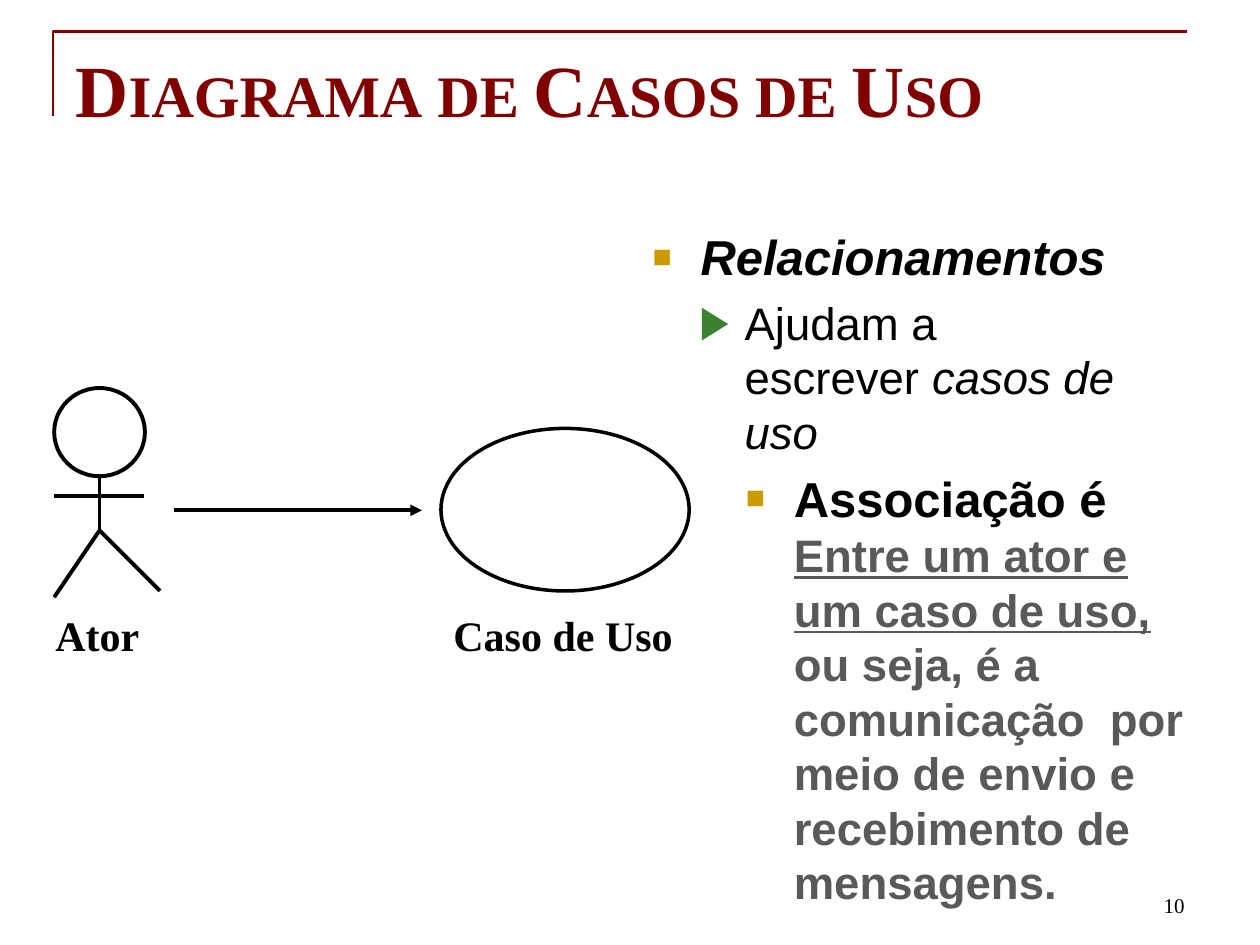
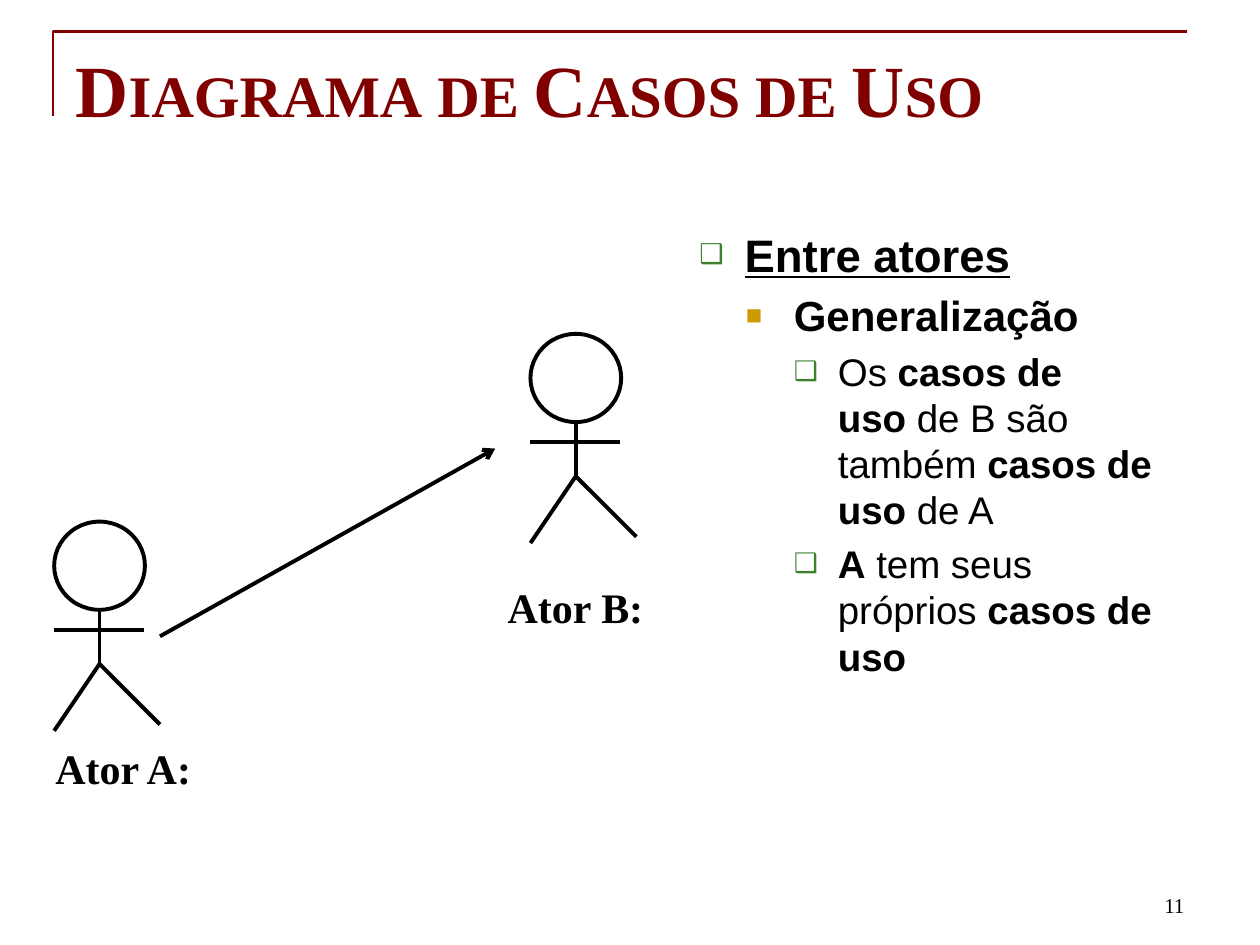
from lxml.etree import SubElement
from pptx import Presentation
from pptx.dml.color import RGBColor
from pptx.enum.shapes import MSO_CONNECTOR, MSO_SHAPE
from pptx.enum.text import MSO_ANCHOR, MSO_AUTO_SIZE, PP_ALIGN
from pptx.oxml.ns import qn
from pptx.util import Emu, Pt

PX = 9144  # 100 px to the inch
INK = {"black": "000000", "white": "FFFFFF", "wine": "800000",
       "gray": "595959", "gold": "CC9900", "green": "3B812F"}
SERIF, SANS = "Times New Roman", "Arial"
HANG = [(38, 38), (73, 36), (112, 38), (147, 35)]  # margin and hang per level
STROKE = 2.25
TIE = chr(160)  # no-break space, typed as ~ in the rows


def px(*nums):
    return [Emu(n * PX) for n in nums]


def rgb(name):
    return RGBColor.from_string(INK[name])


class Deck:
    """Holds the shared style and the slide being built."""

    def __init__(self):
        self.prs = Presentation()
        self.prs.slide_width, self.prs.slide_height = px(1000, 750)
        self.slide = None

    def start(self, title, num):
        """Add a slide with its frame, title and page number."""
        self.slide = self.prs.slides.add_slide(self.prs.slide_layouts[1])
        self.frame()
        par = self.place(self.slide.shapes.title, 50, 30, 900, 125)
        par.text = title
        par.alignment = PP_ALIGN.LEFT
        self.font(par, SERIF, 42, "wine", True)
        par._p.pPr.find(qn("a:defRPr")).set("cap", "small")
        box = self.slide.shapes.add_textbox(*px(717, 683, 233, 50))
        box.text_frame.vertical_anchor = MSO_ANCHOR.BOTTOM
        par = box.text_frame.paragraphs[0]
        par.text = str(num)
        par.alignment = PP_ALIGN.RIGHT
        self.font(par, SERIF, 12)

    def place(self, holder, *area):
        """Move a placeholder and return its first paragraph."""
        holder.left, holder.top, holder.width, holder.height = px(*area)
        text = holder.text_frame
        text.auto_size = MSO_AUTO_SIZE.NONE
        text.vertical_anchor = MSO_ANCHOR.TOP
        return text.paragraphs[0]

    def font(self, par, name, size, ink="black", bold=False):
        par.font.name, par.font.size, par.font.bold = name, Pt(size), bold
        par.font.color.rgb = rgb(ink)

    def stroke(self, shape, ink="black", width=STROKE):
        shape.line.color.rgb = rgb(ink)
        shape.line.width = Pt(width)

    def frame(self):
        pen = self.slide.shapes.build_freeform(42, 92, scale=PX)
        pen.add_line_segments([(42, 25), (942, 25)], close=False)
        shape = pen.convert_to_shape()
        shape.fill.background()
        shape.shadow.inherit = False
        self.stroke(shape, "wine", 1.5)

    def items(self, *rows):
        """Fill the body with rows of (level, mark, ink, percent, size, runs)."""
        body = self.slide.placeholders[1]
        par = self.place(body, 508, 175, 442, 495)
        for i, (level, mark, ink, pct, size, runs) in enumerate(rows):
            if i:
                par = body.text_frame.add_paragraph()
            par.level = level
            self.bullet(par, mark, ink, pct)
            self.font(par, SANS, size)
            for text, flags, *tint in runs:
                run = par.add_run()
                run.text = text.replace("~", TIE)
                run.font.bold = "b" in flags
                run.font.italic = "i" in flags
                run.font.underline = "u" in flags
                if tint:
                    run.font.size = Pt(tint[0])
                    run.font.color.rgb = rgb(tint[1])

    def bullet(self, par, mark, ink, pct):
        left, hang = px(*HANG[par.level])
        prop = par._p.get_or_add_pPr()
        prop.set("marL", str(left))
        prop.set("indent", str(-hang))
        color = SubElement(prop, qn("a:buClr"))
        SubElement(color, qn("a:srgbClr"), val=INK[ink])
        SubElement(prop, qn("a:buSzPct"), val=str(pct * 1000))
        SubElement(prop, qn("a:buFont"), typeface=SANS)
        SubElement(prop, qn("a:buChar"), char=mark)

    def oval(self, x, y, w, h, fill=None, width=STROKE, host=None):
        shapes = (host or self.slide).shapes
        shape = shapes.add_shape(MSO_SHAPE.OVAL, *px(x, y, w, h))
        shape.shadow.inherit = False
        if fill:
            shape.fill.solid()
            shape.fill.fore_color.rgb = rgb(fill)
        else:
            shape.fill.background()
        self.stroke(shape, width=width)

    def line(self, *ends, head=None, host=None):
        shapes = (host or self.slide).shapes
        wire = shapes.add_connector(MSO_CONNECTOR.STRAIGHT, *px(*ends))
        self.stroke(wire)
        prop = wire._element.spPr
        if head:
            SubElement(prop.find(qn("a:ln")), qn("a:tailEnd"), type=head)
        SubElement(prop, qn("a:effectLst"))

    def actor(self, x, y):
        """Draw a stick figure with its top left corner at x, y."""
        group = self.slide.shapes.add_group_shape()
        self.oval(x, y, 72, 70, host=group)
        mid, hip = x + 36, y + 113
        for ends in ((mid, y + 70, mid, hip), (mid, hip, x + 84, y + 161),
                     (mid, hip, x, y + 166), (x, y + 86, x + 71, y + 86)):
            self.line(*ends, host=group)

    def label(self, text, x, y, w):
        box = self.slide.shapes.add_textbox(*px(x, y, w, 50))
        box.text_frame.word_wrap = False
        box.text_frame.auto_size = MSO_AUTO_SIZE.SHAPE_TO_FIT_TEXT
        par = box.text_frame.paragraphs[0]
        par.text = text
        self.font(par, SERIF, 24, bold=True)


def main():
    deck = Deck()
    title = "Diagrama de Casos de Uso"

    deck.start(title, 10)
    deck.items(
        (0, "■", "gold", 65, 28, [("Relacionamentos", "bi")]),
        (1, "▶", "green", 100, 26, [("Ajudam a escrever~", ""),
                                    ("casos de uso", "i")]),
        (2, "■", "gold", 65, 28, [
            ("Associação é ", "b"),
            ("Entre um ator e um~caso de uso, ", "bu", 26, "gray"),
            ("ou seja, é a comunicação  por meio de envio e recebimento "
             "de mensagens.", "b", 26, "gray")]))
    deck.actor(43, 308)
    deck.oval(350, 340, 197, 129, "white", 2)
    deck.label("Ator", 34, 479, 88)
    deck.label("Caso de Uso", 350, 479, 197)
    deck.line(138, 405, 335, 405, head="triangle")

    deck.start(title, 11)
    deck.items(
        (1, "❑", "green", 60, 26, [("Entre atores", "bu")]),
        (2, "■", "gold", 65, 24, [("Generalização", "b")]),
        (3, "❑", "green", 70, 22, [
            ("Os~", ""), ("casos de uso", "b"), ("~de B são também ", ""),
            ("casos de uso", "b"), ("~de A", "")]),
        (3, "❑", "green", 70, 22, [
            ("A", "b"), (" tem seus próprios", ""), ("~casos de uso", "b")]))
    deck.actor(43, 414)
    deck.label("Ator A:", 34, 584, 129)
    deck.actor(421, 265)
    deck.label("Ator B:", 393, 457, 129)
    deck.line(127, 505, 393, 356, head="arrow")

    deck.prs.save("out.pptx")


if __name__ == "__main__":
    main()
